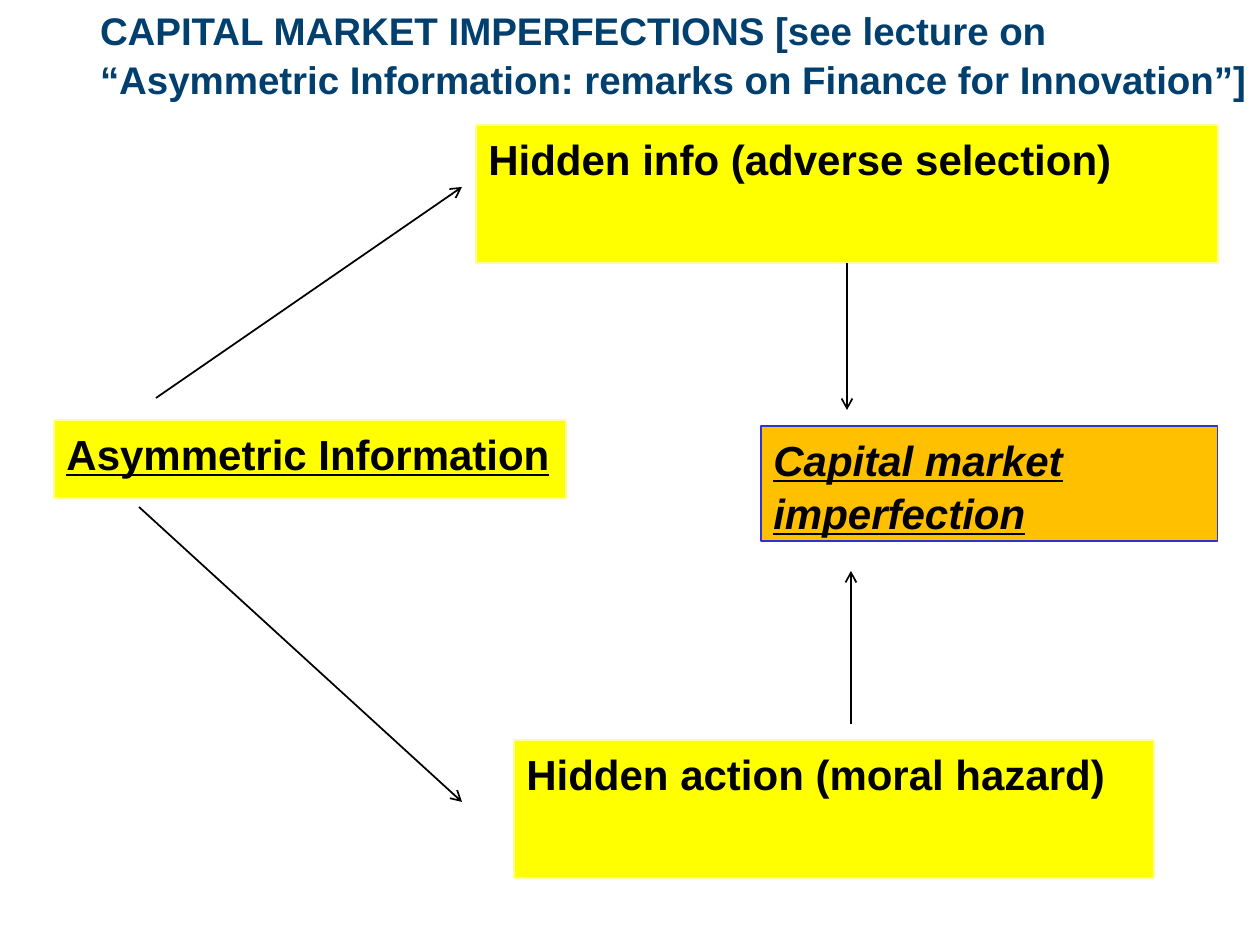
import pptx
import pptx.dml.color
import pptx.enum.shapes
import pptx.enum.text
import pptx.oxml
import pptx.util

RGBColor = pptx.dml.color.RGBColor
NAVY = RGBColor(0x00, 0x3F, 0x6E)
BLACK = RGBColor(0x00, 0x00, 0x00)
YELLOW = RGBColor(0xFF, 0xFF, 0x00)
PALE_YELLOW = RGBColor(0xFF, 0xFF, 0x99)
ORANGE = RGBColor(0xFF, 0xC0, 0x00)
BLUE = RGBColor(0x33, 0x33, 0xCC)
PX = 914400 // 126
BOTTOM = 2


def format_text(shape, text, size, color, underline=False, italic=False):
    """Set the shape's text as one bold, left-aligned paragraph at the top."""
    text_frame = shape.text_frame
    text_frame.text = text
    text_frame.word_wrap = True
    text_frame.auto_size = pptx.enum.text.MSO_AUTO_SIZE.NONE
    text_frame.vertical_anchor = pptx.enum.text.MSO_ANCHOR.TOP
    paragraph = text_frame.paragraphs[0]
    paragraph.alignment = pptx.enum.text.PP_ALIGN.LEFT
    paragraph.line_spacing = 1.05
    font = paragraph.runs[0].font
    font.name = "Arial"
    font.size = pptx.util.Pt(size)
    font.bold = True
    font.italic = italic
    font.underline = underline
    font.color.rgb = color


presentation = pptx.Presentation()
presentation.slide_width = 1260 * PX
presentation.slide_height = 945 * PX
slide = presentation.slides.add_slide(presentation.slide_layouts[5])

# Boxes: text, left, top, width, height, fill, line, line width, underline, italic
boxes = {}
for text, left, top, width, height, fill, line, weight, underline, italic in [
    ("Asymmetric Information", 54, 420, 512, 78, YELLOW, PALE_YELLOW, 1, True, False),
    ("Hidden info (adverse selection)", 476, 125, 742, 138, YELLOW, PALE_YELLOW, 1, False, False),
    ("Hidden action (moral hazard)", 514, 740, 640, 138, YELLOW, PALE_YELLOW, 1, False, False),
    ("Capital market imperfection", 761, 426, 457, 115, ORANGE, BLUE, 0.75, True, True),
]:
    box = slide.shapes.add_shape(
        pptx.enum.shapes.MSO_SHAPE.RECTANGLE, left * PX, top * PX, width * PX, height * PX)
    box.shadow.inherit = False
    box.fill.solid()
    box.fill.fore_color.rgb = fill
    box.line.color.rgb = line
    box.line.width = pptx.util.Pt(weight)
    format_text(box, text, 24, BLACK, underline, italic)
    boxes[text] = box

# Arrows: start x, start y, end x, end y, box whose bottom side it leaves
for x1, y1, x2, y2, source in [
    (156, 398, 462, 187, None),
    (139, 507, 462, 802, None),
    (847, 263, 847, 410, "Hidden info (adverse selection)"),
    (851, 724, 851, 571, None),
]:
    arrow = slide.shapes.add_connector(
        pptx.enum.shapes.MSO_CONNECTOR.STRAIGHT, x1 * PX, y1 * PX, x2 * PX, y2 * PX)
    if source:
        arrow.begin_connect(boxes[source], BOTTOM)
    arrow.line.color.rgb = BLACK
    arrow.line.width = pptx.util.Pt(1)
    tail = pptx.oxml.parse_xml(
        '<a:tailEnd xmlns:a="http://schemas.openxmlformats.org/drawingml/2006/main" type="arrow"/>')
    arrow.line._get_or_add_ln().append(tail)
    effects = pptx.oxml.parse_xml(
        '<a:effectLst xmlns:a="http://schemas.openxmlformats.org/drawingml/2006/main"/>')
    arrow._element.spPr.append(effects)

title = slide.shapes.title
title.left, title.top, title.width, title.height = 100 * PX, 5 * PX, 1160 * PX, 116 * PX
format_text(
    title,
    "CAPITAL MARKET IMPERFECTIONS [see lecture on "
    "“Asymmetric Information: remarks on Finance for Innovation”]",
    22, NAVY)
title_frame = title.text_frame
title_frame.margin_left = title_frame.margin_right = 0
title_frame.margin_top = title_frame.margin_bottom = 0

presentation.save("out.pptx")
